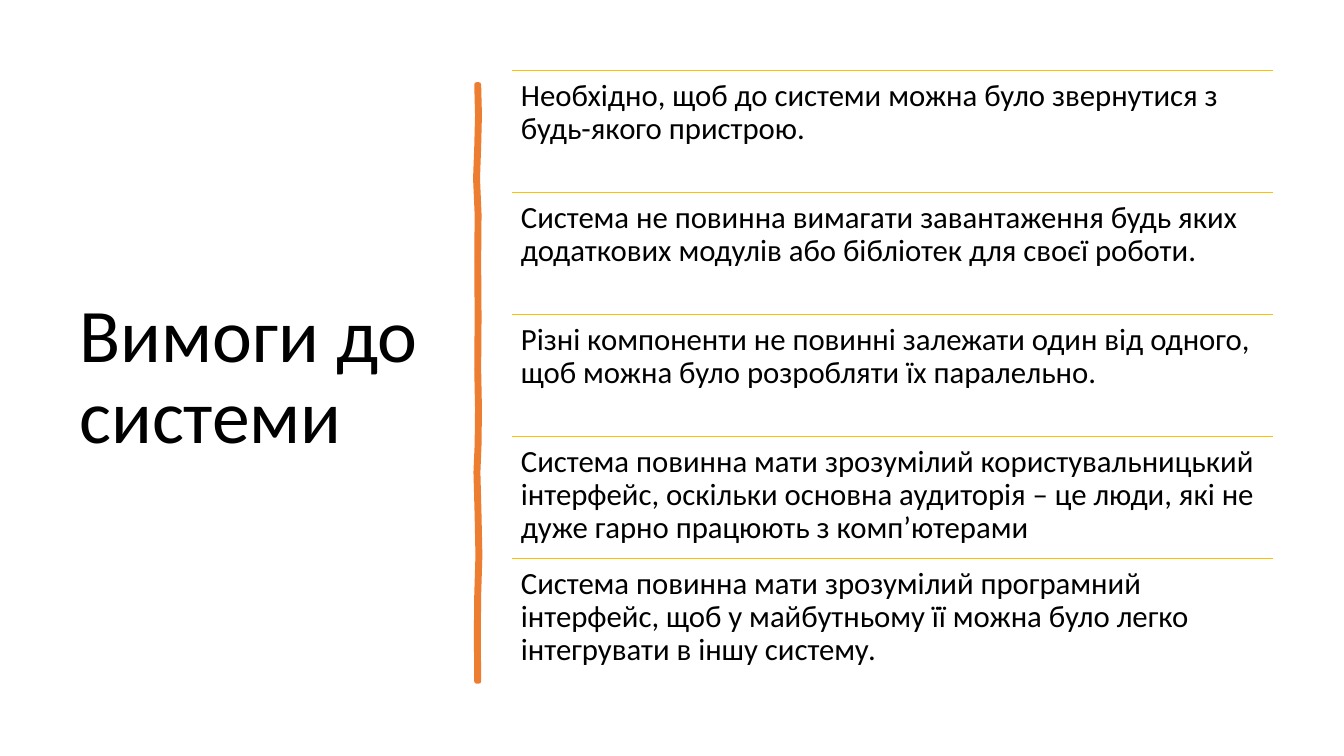
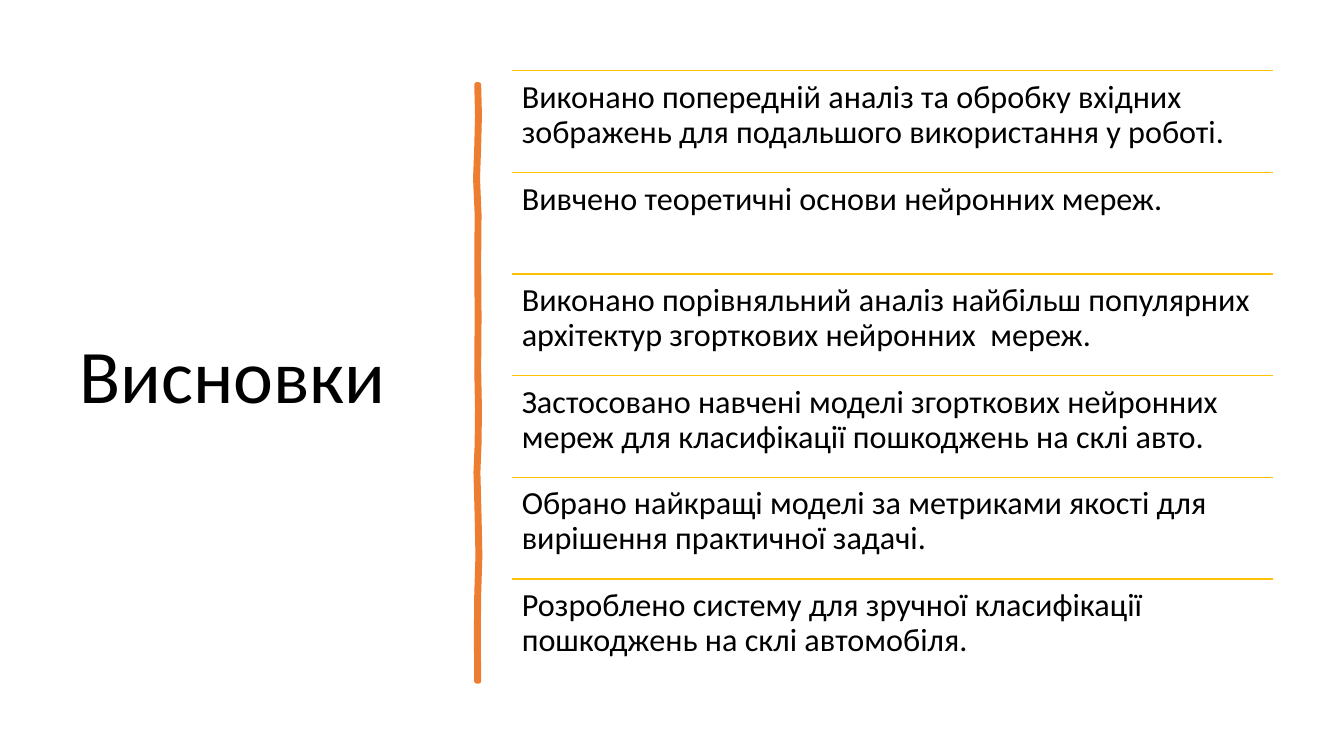
"""Build two slides, each with a title, a hand-drawn divider and a ruled list."""
import dataclasses

import pptx
import pptx.dml.color
import pptx.enum.shapes
import pptx.enum.text
import pptx.oxml
import pptx.oxml.ns
import pptx.slide
import pptx.text.text
import pptx.util

Cm = pptx.util.Cm
Pt = pptx.util.Pt

COLOURS = {"text": "000000", "divider": "ED7D31", "rule": "FFC000"}
FONT = "Calibri"
MARGIN_TOP = 1.78
LIST_LEFT, LIST_WIDTH, LIST_HEIGHT = 12.9, 19.18, 15.37
DIVIDER_CENTRE, DIVIDER_HALF_WIDTH = 12.04, 0.03
DIVIDER_SWAY = [
    (2.13, 0), (2.9, 0.02), (3.7, 0), (4.5, -0.03), (5.4, 0.01), (6.6, 0),
    (8, 0.01), (9.3, 0), (10.3, 0.02), (11.2, 0.01), (11.9, -0.02),
    (13, 0.01), (14, 0.03), (15, 0), (16, -0.01), (17.17, 0),
]


@dataclasses.dataclass(frozen=True)
class ListPage:
    title: str
    items: list[str]
    size: float
    inset: float


PAGES = [
    ListPage(
        "Вимоги до системи",
        [
            "Необхідно, щоб до системи можна було звернутися з будь-якого пристрою.",
            "Система не повинна вимагати завантаження будь яких додаткових модулів або бібліотек для своєї роботи.",
            "Різні компоненти не повинні залежати один від одного, щоб можна було розробляти їх паралельно.",
            "Система повинна мати зрозумілий користувальницький інтерфейс, оскільки основна аудиторія – це люди, які не дуже гарно працюють з комп’ютерами",
            "Система повинна мати зрозумілий програмний інтерфейс, щоб у майбутньому її можна було легко інтегрувати в іншу систему.",
        ],
        size=22,
        inset=0.23,
    ),
    ListPage(
        "Висновки",
        [
            "Виконано попередній аналіз та обробку вхідних зображень для подальшого використання у роботі.",
            "Вивчено теоретичні основи нейронних мереж.",
            "Виконано порівняльний аналіз найбільш популярних архітектур згорткових нейронних  мереж.",
            "Застосовано навчені моделі згорткових нейронних мереж для класифікації пошкоджень на склі авто.",
            "Обрано найкращі моделі за метриками якості для вирішення практичної задачі.",
            "Розроблено систему для зручної класифікації пошкоджень на склі автомобіля.",
        ],
        size=23,
        inset=0.25,
    ),
]


def colour(name: str) -> pptx.dml.color.RGBColor:
    return pptx.dml.color.RGBColor.from_string(COLOURS[name])


def add_text(page: pptx.slide.Slide, text: str, left: float, top: float, width: float,
             height: float, size: float, inset: float) -> pptx.text.text.TextFrame:
    box = page.shapes.add_textbox(Cm(left), Cm(top), Cm(width), Cm(height))
    frame = box.text_frame
    frame.word_wrap = True
    frame.margin_left = frame.margin_right = Cm(inset)
    frame.margin_top = frame.margin_bottom = Cm(inset)
    frame.text = text
    para = frame.paragraphs[0]
    para.line_spacing = 0.9
    span = para.runs[0]
    span.font.name = FONT
    span.font.size = Pt(size)
    span.font.color.rgb = colour("text")
    return frame


def add_divider(page: pptx.slide.Slide) -> None:
    right = [(Cm(DIVIDER_CENTRE + sway + DIVIDER_HALF_WIDTH), Cm(y)) for y, sway in DIVIDER_SWAY]
    left = [(Cm(DIVIDER_CENTRE + sway - DIVIDER_HALF_WIDTH), Cm(y)) for y, sway in DIVIDER_SWAY]
    outline = right + left[::-1]
    builder = page.shapes.build_freeform(*outline[0])
    builder.add_line_segments(outline[1:], close=True)
    divider = builder.convert_to_shape()
    divider.shadow.inherit = False
    divider.fill.solid()
    divider.fill.fore_color.rgb = colour("divider")
    divider.line.color.rgb = colour("divider")
    divider.line.width = Pt(3.25)
    outline_xml = divider.line.fill._xPr
    outline_xml.append(pptx.oxml.parse_xml(f"<a:round {pptx.oxml.ns.nsdecls('a')}/>"))


def add_rule(page: pptx.slide.Slide, top: float) -> None:
    rule = page.shapes.add_connector(
        pptx.enum.shapes.MSO_CONNECTOR.STRAIGHT,
        Cm(LIST_LEFT), Cm(top), Cm(LIST_LEFT + LIST_WIDTH), Cm(top))
    rule.line.color.rgb = colour("rule")
    rule.line.width = Pt(1)
    properties = rule._element.spPr
    properties.append(pptx.oxml.parse_xml(f"<a:effectLst {pptx.oxml.ns.nsdecls('a')}/>"))


def add_list_page(deck, content: ListPage) -> None:
    page = deck.slides.add_slide(deck.slide_layouts[6])
    title = add_text(page, content.title, 1.75, MARGIN_TOP, 9.5, 15.52, size=54, inset=0.25)
    title.vertical_anchor = pptx.enum.text.MSO_ANCHOR.MIDDLE
    add_divider(page)
    row_height = LIST_HEIGHT / len(content.items)
    for row, item in enumerate(content.items):
        top = MARGIN_TOP + row * row_height
        add_rule(page, top)
        add_text(page, item, LIST_LEFT, top, LIST_WIDTH, row_height, content.size, content.inset)


def main() -> None:
    deck = pptx.Presentation()
    deck.slide_width, deck.slide_height = Cm(33.87), Cm(19.05)
    for content in PAGES:
        add_list_page(deck, content)
    deck.save("out.pptx")


if __name__ == "__main__":
    main()
